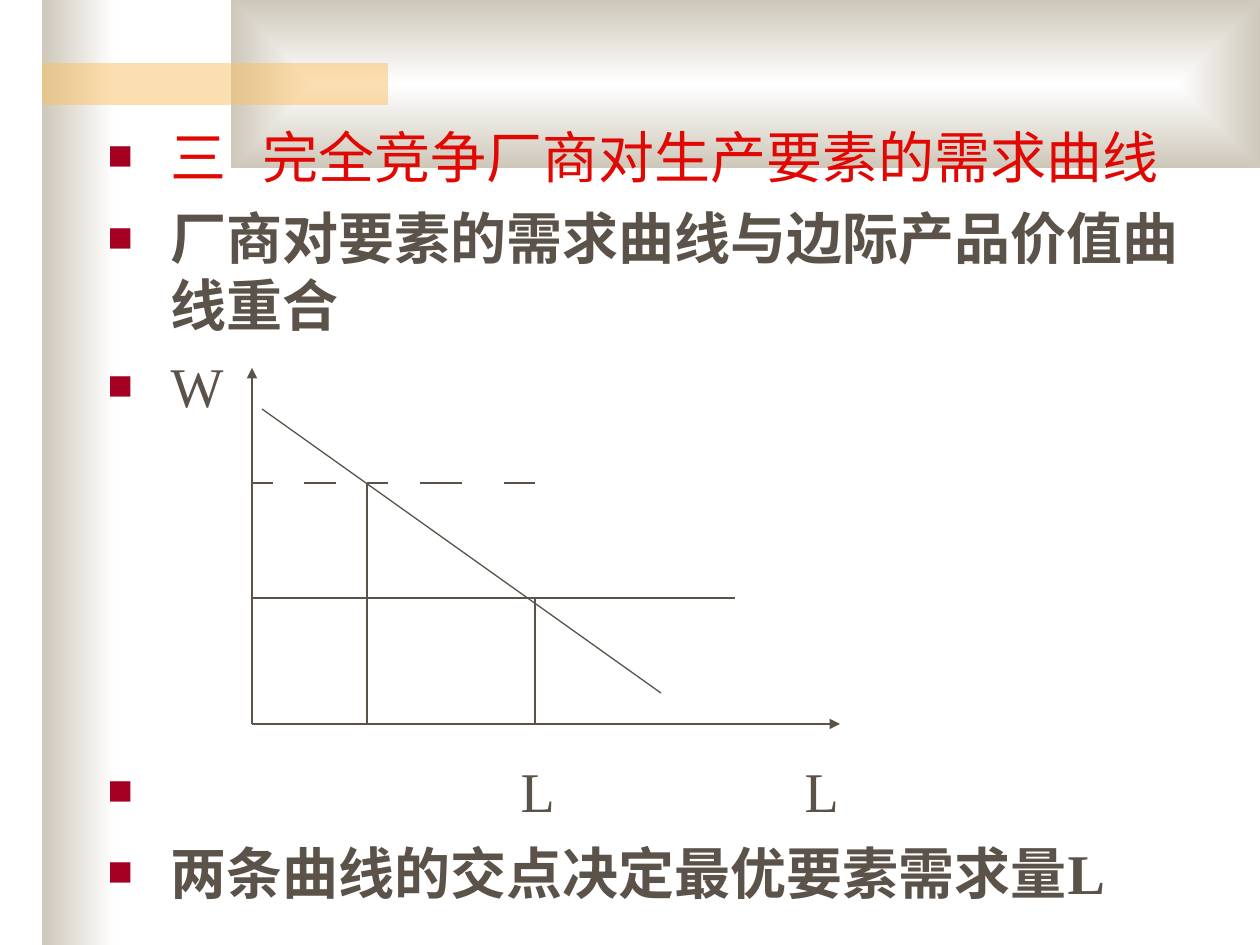
"""Build a slide on the factor demand curve of a perfectly competitive firm."""
from typing import NamedTuple

from lxml.etree import SubElement
from pptx import Presentation
from pptx.dml.color import RGBColor
from pptx.enum.shapes import MSO_CONNECTOR, MSO_SHAPE
from pptx.oxml.ns import qn
from pptx.util import Pt

EMU_PER_PX = 914400 / 126
COLORS = {
    "paper": "FFFFFF",
    "stone": "CEC8BA",
    "accent": "FAC164",
    "bullet": "A50021",
    "heading": "E10803",
    "ink": "5B5249",
}
FONT = "Times New Roman"
TEXT_INDENT = 63
ORIGIN_X, ORIGIN_Y = 252, 724
OPTIMUM_X, HIGH_WAGE_X = 535, 367
HIGH_WAGE_Y, WAGE_Y = 483, 598


class Band(NamedTuple):
    left: int
    top: int
    width: int
    height: int


class Segment(NamedTuple):
    start_x: int
    start_y: int
    end_x: int
    end_y: int
    arrow: bool = False


class Bullet(NamedTuple):
    text: str
    color: str = "ink"
    bold: bool = False
    space_before: int = 8
    tabs: tuple[int, ...] = ()


SIDE_BAND = Band(42, 0, 73, 945)
TOP_BAND = Band(231, 0, 1029, 168)
ACCENT_BAND = Band(42, 63, 346, 42)
BODY = Band(95, 116, 1123, 829)

BULLETS = [
    Bullet("三\t完全竞争厂商对生产要素的需求曲线", color="heading", tabs=(155,)),
    Bullet("厂商对要素的需求曲线与边际产品价值曲线重合", bold=True),
    Bullet("W"),
    Bullet("\tL\tL", space_before=193, tabs=(413, 697)),
    Bullet("两条曲线的交点决定最优要素需求量L", bold=True),
]

DASHES = [(252, 273), (304, 336), (367, 388), (420, 462), (504, 535)]
SEGMENTS = [
    Segment(ORIGIN_X, ORIGIN_Y, ORIGIN_X, 368, arrow=True),
    Segment(ORIGIN_X, ORIGIN_Y, 840, ORIGIN_Y, arrow=True),
    Segment(262, 409, 661, 693),
    Segment(ORIGIN_X, WAGE_Y, 735, WAGE_Y),
    Segment(OPTIMUM_X, WAGE_Y, OPTIMUM_X, ORIGIN_Y),
    *(Segment(start, HIGH_WAGE_Y, end, HIGH_WAGE_Y) for start, end in DASHES),
    Segment(HIGH_WAGE_X, HIGH_WAGE_Y, HIGH_WAGE_X, ORIGIN_Y),
]


def px(length: int) -> int:
    return round(length * EMU_PER_PX)


def rgb(name: str) -> RGBColor:
    return RGBColor.from_string(COLORS[name])


def add_band(slide, band: Band):
    shape = slide.shapes.add_shape(MSO_SHAPE.RECTANGLE, *map(px, band))
    shape.shadow.inherit = False
    shape.line.fill.background()
    return shape


def add_gradient_band(slide, band: Band, from_center: bool = False) -> None:
    shape = add_band(slide, band)
    shape.fill.gradient()
    shape.fill.gradient_angle = 180
    for stop, name in zip(shape.fill.gradient_stops, ("paper", "stone")):
        stop.color.rgb = rgb(name)
    if from_center:
        gradient = shape._element.spPr.find(qn("a:gradFill"))
        gradient.remove(gradient.find(qn("a:lin")))
        center = SubElement(gradient, qn("a:path"), {"path": "rect"})
        SubElement(center, qn("a:fillToRect"), dict.fromkeys("ltrb", "50000"))


def add_accent_band(slide, band: Band) -> None:
    shape = add_band(slide, band)
    shape.fill.solid()
    shape.fill.fore_color.rgb = rgb("accent")
    color = shape._element.spPr.find(qn("a:solidFill"))[0]
    SubElement(color, qn("a:alpha"), {"val": "50000"})


def add_segment(slide, segment: Segment) -> None:
    connector = slide.shapes.add_connector(MSO_CONNECTOR.STRAIGHT, *map(px, segment[:4]))
    connector.line.color.rgb = rgb("ink")
    connector.line.width = Pt(0.75)
    if segment.arrow:
        SubElement(connector.line._get_or_add_ln(), qn("a:tailEnd"), {"type": "triangle"})
    SubElement(connector._element.spPr, qn("a:effectLst"))


def format_bullet(paragraph, bullet: Bullet, first: bool) -> None:
    paragraph.text = bullet.text
    paragraph.space_before = Pt(0 if first else bullet.space_before)
    properties = paragraph._p.get_or_add_pPr()
    properties.set("marL", str(px(TEXT_INDENT)))
    properties.set("indent", str(-px(TEXT_INDENT)))
    bullet_color = SubElement(properties, qn("a:buClr"))
    SubElement(bullet_color, qn("a:srgbClr"), {"val": COLORS["bullet"]})
    SubElement(properties, qn("a:buSzPct"), {"val": "75000"})
    SubElement(properties, qn("a:buFont"), {"typeface": FONT})
    SubElement(properties, qn("a:buChar"), {"char": "■"})
    if bullet.tabs:
        tab_list = SubElement(properties, qn("a:tabLst"))
        for position in bullet.tabs:
            SubElement(tab_list, qn("a:tab"), {"pos": str(px(position)), "algn": "l"})
    font = paragraph.font
    font.name = FONT
    font.size = Pt(32)
    font.bold = bullet.bold
    font.color.rgb = rgb(bullet.color)


def fill_body(slide, body) -> None:
    body.left, body.top, body.width, body.height = map(px, BODY)
    frame = body.text_frame
    frame.word_wrap = True
    for index, bullet in enumerate(BULLETS):
        paragraph = frame.add_paragraph() if index else frame.paragraphs[0]
        format_bullet(paragraph, bullet, first=index == 0)
    slide.shapes._spTree.append(body._element)


def main() -> None:
    presentation = Presentation()
    presentation.slide_width, presentation.slide_height = px(1260), px(945)
    slide = presentation.slides.add_slide(presentation.slide_layouts[1])
    title, body = slide.placeholders
    title._element.getparent().remove(title._element)
    add_gradient_band(slide, SIDE_BAND)
    add_gradient_band(slide, TOP_BAND, from_center=True)
    add_accent_band(slide, ACCENT_BAND)
    fill_body(slide, body)
    for segment in SEGMENTS:
        add_segment(slide, segment)
    presentation.save("out.pptx")


if __name__ == "__main__":
    main()
